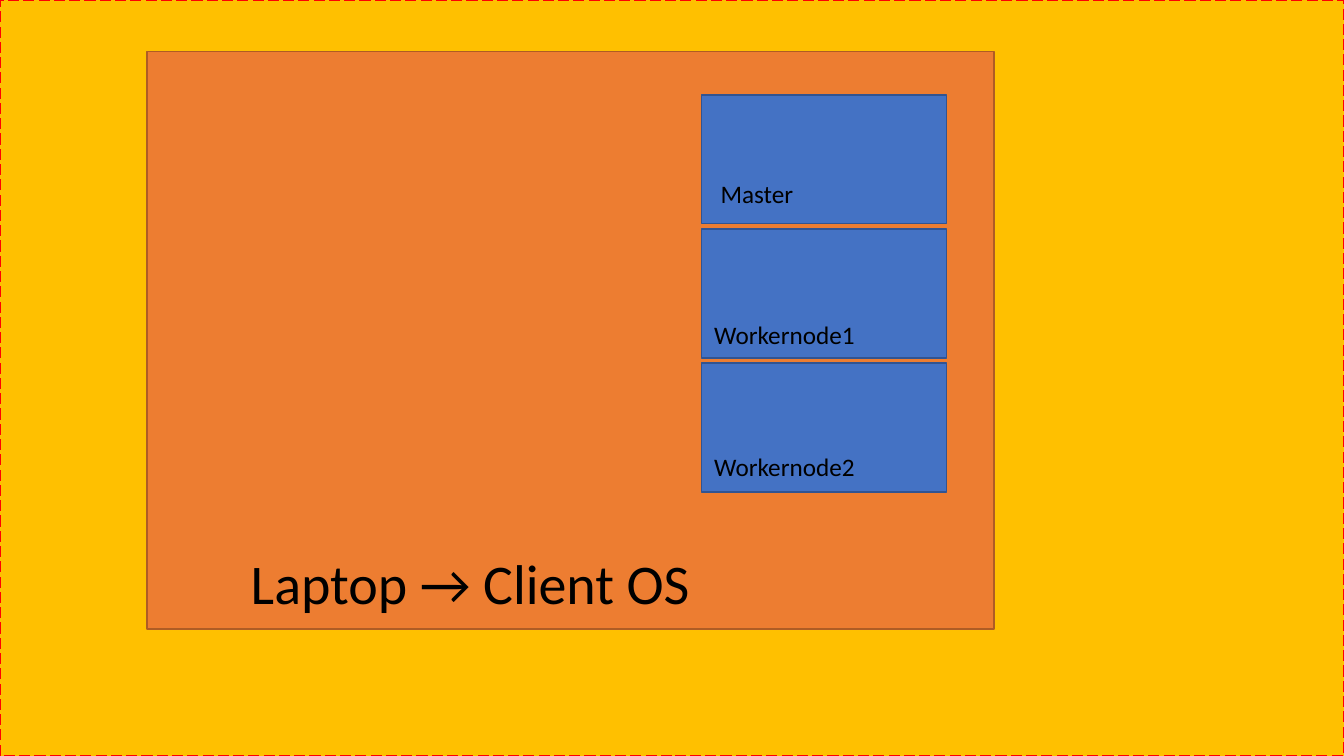
from pptx import Presentation
from pptx.dml.color import RGBColor
from pptx.enum import dml, shapes, text
from pptx.util import Cm, Pt

WIDE, HIGH = 33.87, 19.05
FONT = "Calibri"
INK = "000000"
GOLD, RED = "FFC000", "FF0000"
ORANGE, RUST = "ED7D31", "AF5C24"
BLUE, NAVY = "4472C4", "325491"

LAPTOP = (3.71, 1.3, 21.34, 14.55)
TITLE = ("Laptop → Client OS", (6.07, 13.69, 14.71, 1.96), 40)
NODES = [
    ("Master", 17.91, 4.37, 3.71),
    ("Workernode1", 17.75, 7.92, 5.33),
    ("Workernode2", 17.75, 11.25, 4.93),
]
LEFT, TOP, STEP = 17.68, 2.39, 3.38
NODE = (6.17, 3.25)
LABEL = 1.02


def color(code):
    return RGBColor.from_string(code)


def add_box(home, area, fill, edge):
    box = home.add_shape(shapes.MSO_SHAPE.RECTANGLE, *map(Cm, area))
    box.shadow.inherit = False
    box.fill.solid()
    box.fill.fore_color.rgb = color(fill)
    box.line.color.rgb = color(edge)
    box.line.width = Pt(1)
    return box


def add_label(home, words, area, size):
    frame = home.add_textbox(*map(Cm, area)).text_frame
    frame.word_wrap = True
    frame.auto_size = text.MSO_AUTO_SIZE.SHAPE_TO_FIT_TEXT
    line = frame.paragraphs[0]
    line.text = words
    line.font.name = FONT
    line.font.size = Pt(size)
    line.font.color.rgb = color(INK)


def main():
    deck = Presentation()
    deck.slide_width, deck.slide_height = Cm(WIDE), Cm(HIGH)
    slide = deck.slides.add_slide(deck.slide_layouts[6])
    slide.background.fill.solid()
    slide.background.fill.fore_color.rgb = color(GOLD)

    frame = add_box(slide.shapes, (0, 0, WIDE, HIGH), GOLD, RED)
    frame.line.dash_style = dml.MSO_LINE.LONG_DASH
    add_box(slide.shapes, LAPTOP, ORANGE, RUST)

    for row, (name, left, top, width) in enumerate(NODES):
        group = slide.shapes.add_group_shape().shapes
        add_box(group, (LEFT, TOP + row * STEP, *NODE), BLUE, NAVY)
        add_label(group, name, (left, top, width, LABEL), 18)

    add_label(slide.shapes, *TITLE)
    deck.save("out.pptx")


if __name__ == "__main__":
    main()
